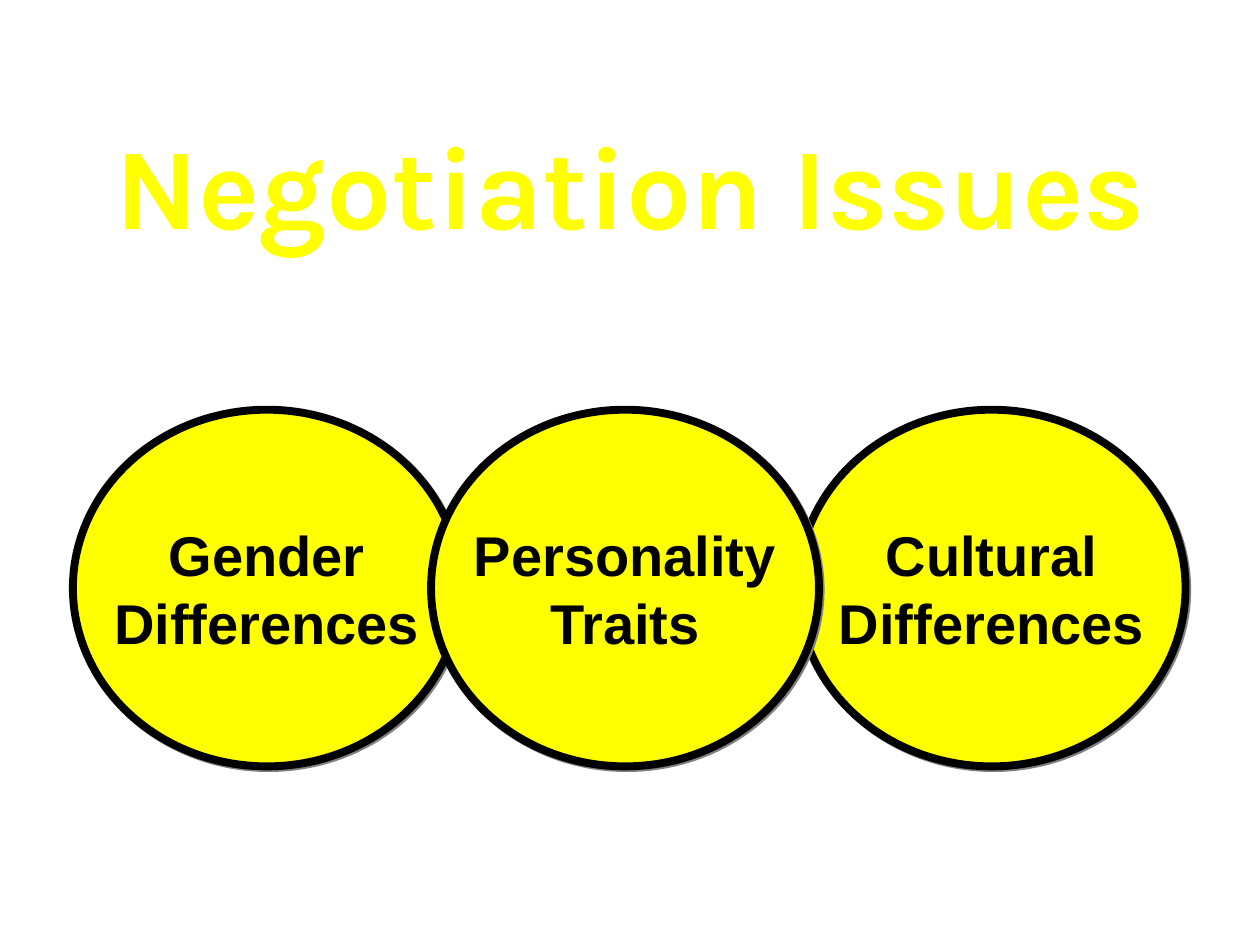
from lxml import etree
from pptx import Presentation
from pptx.dml.color import RGBColor
from pptx.enum.shapes import MSO_SHAPE
from pptx.enum.text import MSO_ANCHOR, PP_ALIGN
from pptx.oxml.ns import qn
from pptx.util import Cm, Pt

ELLIPSE = MSO_SHAPE.OVAL
MIDDLE = MSO_ANCHOR.MIDDLE
CENTER = PP_ALIGN.CENTER

YELLOW = "FFFF00"
BLACK = "000000"
GREY = "808080"

TITLE_FORMAT = {"name": "Karla", "size": Pt(66), "bold": True}
ISSUE_FORMAT = {"name": "Arial", "size": Pt(32), "bold": True}

# Circle geometry, shared by all issues
CIRCLE_TOP, CIRCLE_WIDTH, CIRCLE_HEIGHT = Cm(8.26), Cm(7.82), Cm(7.19)

# Back to front: the middle circle overlaps its neighbours
ISSUES = [
    (Cm(1.47), ["Gender", "Differences"]),
    (Cm(16.08), ["Cultural", "Differences"]),
    (Cm(8.69), ["Personality", "Traits"]),
]


def color(hex_code):
    return RGBColor.from_string(hex_code)


def add_shadow(effects):
    """Put a hard grey shadow to the lower right into an effect list."""
    shadow = etree.SubElement(effects, qn("a:outerShdw"), dist=str(Pt(1.4)),
                              dir=str(45 * 60000), algn="ctr", rotWithShape="0")
    etree.SubElement(shadow, qn("a:srgbClr"), val=GREY)


def write_lines(frame, lines, text_format, hex_code):
    """Write centred paragraphs and return their runs."""
    frame.word_wrap = False
    frame.vertical_anchor = MIDDLE
    runs = []
    for number, line in enumerate(lines):
        paragraph = frame.paragraphs[0] if number == 0 else frame.add_paragraph()
        paragraph.alignment = CENTER
        run = paragraph.add_run()
        run.text = line
        for attribute, value in text_format.items():
            setattr(run.font, attribute, value)
        run.font.color.rgb = color(hex_code)
        runs.append(run)
    return runs


def add_title(slide, wording):
    title = slide.shapes.add_textbox(Cm(1.27), Cm(1.27), Cm(22.86), Cm(4.85))
    run = write_lines(title.text_frame, [wording], TITLE_FORMAT, YELLOW)[0]
    # The letters carry a shadow, which follows the fill in the run properties
    effects = etree.Element(qn("a:effectLst"))
    add_shadow(effects)
    run.font._element.find(qn("a:solidFill")).addnext(effects)


def add_issue(slide, left, lines):
    circle = slide.shapes.add_shape(ELLIPSE, left, CIRCLE_TOP,
                                    CIRCLE_WIDTH, CIRCLE_HEIGHT)
    circle.fill.solid()
    circle.fill.fore_color.rgb = color(YELLOW)
    circle.line.color.rgb = color(BLACK)
    circle.line.width = Pt(4.5)
    circle.shadow.inherit = False
    add_shadow(circle._element.spPr.find(qn("a:effectLst")))
    write_lines(circle.text_frame, lines, ISSUE_FORMAT, BLACK)


def main():
    deck = Presentation()
    deck.slide_width, deck.slide_height = Cm(25.4), Cm(19.05)
    slide = deck.slides.add_slide(deck.slide_layouts[6])

    add_title(slide, "Negotiation Issues")
    for left, lines in ISSUES:
        add_issue(slide, left, lines)

    deck.save("out.pptx")


if __name__ == "__main__":
    main()
